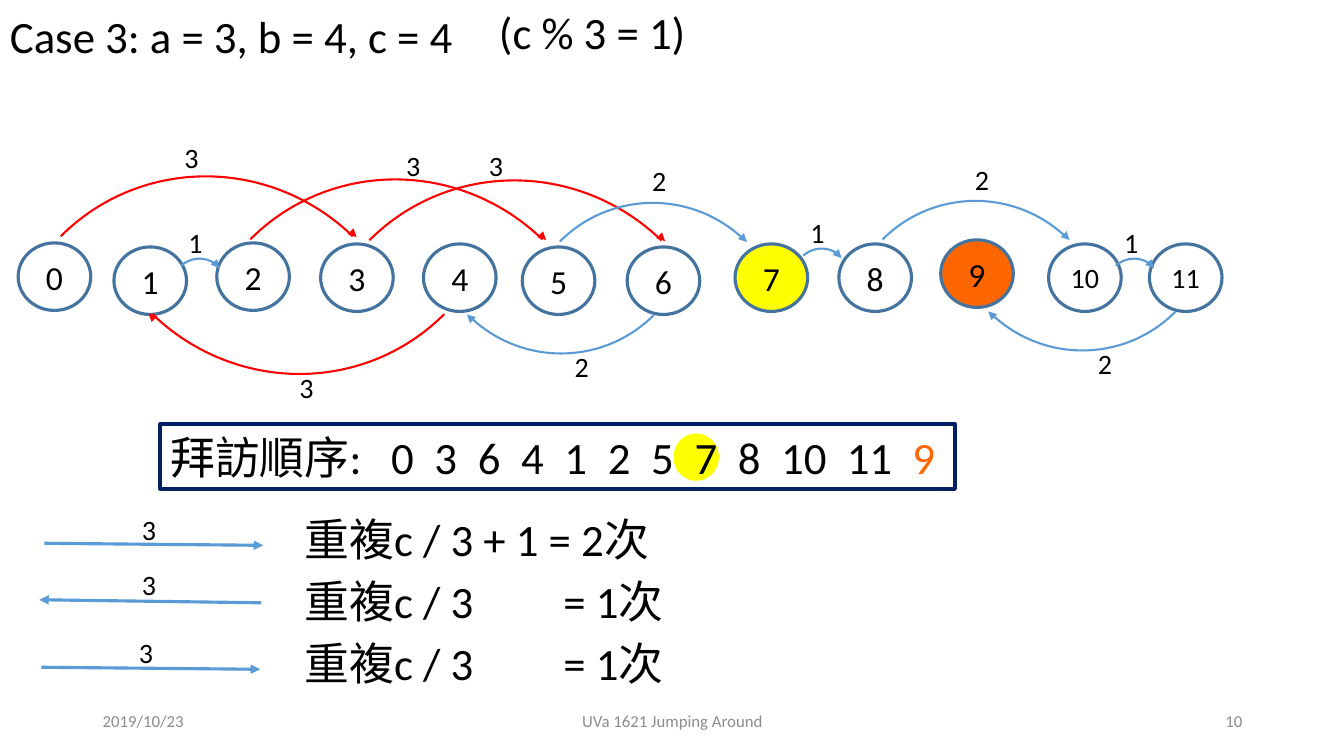
"""Build the slide that traces the jump order for case 3."""
import math

import pptx
import pptx.dml.color
import pptx.enum.shapes
import pptx.enum.text
import pptx.oxml.ns
import pptx.util
from lxml import etree

RGBColor = pptx.dml.color.RGBColor
BLACK = RGBColor(0, 0, 0)
GRAY = RGBColor(0x8C, 0x8C, 0x8C)
YELLOW = RGBColor(0xFF, 0xFF, 0)
ORANGE = RGBColor(0xFF, 0x66, 0)
RED = RGBColor(0xFF, 0, 0)
BLUE = RGBColor(0x5B, 0x9B, 0xD5)
STEEL = RGBColor(0x43, 0x73, 0x9E)
NAVY = RGBColor(0, 0x20, 0x60)

LATIN, CJK = "Calibri", "Noto Sans CJK SC"
COLS, ROWS = 13.33, 7.5
SHAPE = pptx.enum.shapes.MSO_SHAPE
ALIGN = pptx.enum.text.PP_ALIGN
ANCHOR = pptx.enum.text.MSO_ANCHOR
ARC_START, ARC_END = 162, 215.593
LONG, MEDIUM, SHORT = (4.08, 4.16), (2.6, 2.61), (0.54, 0.52)
OVER, UNDER, HOP = 314.8, 134.8, 318.5

NODES = [(0.18, 2.41), (1.13, 2.45), (2.15, 2.41), (3.18, 2.42),
         (4.2, 2.42), (5.18, 2.45), (6.22, 2.45), (7.29, 2.42),
         (8.32, 2.42), (9.33, 2.38), (10.4, 2.42), (11.4, 2.42)]
NODE_FILLS = {7: YELLOW, 9: ORANGE}
JUMPS = [(0.04, 1.73, LONG, OVER, RED), (1.92, 1.76, LONG, OVER, RED),
         (3.1, 1.77, LONG, OVER, RED), (0.89, -0.43, LONG, UNDER, RED),
         (4.26, 0.9, MEDIUM, UNDER, BLUE), (9.43, 0.87, MEDIUM, UNDER, BLUE),
         (8.38, 1.99, MEDIUM, OVER, BLUE), (5.18, 2.01, MEDIUM, OVER, BLUE),
         (1.7, 2.57, SHORT, HOP, BLUE), (7.87, 2.47, SHORT, HOP, BLUE),
         (10.97, 2.57, SHORT, HOP, BLUE)]
LABELS = {"1": [(1.77, 2.19), (7.94, 2.09), (11.05, 2.19)],
          "2": [(10.79, 3.39), (5.6, 3.42), (9.57, 1.56), (6.37, 1.57)],
          "3": [(1.73, 1.34), (3.93, 1.42), (4.75, 1.42), (2.87, 3.63),
                (1.31, 5.04), (1.31, 5.58), (1.28, 6.26)]}
ROUNDS = [(5.03, "c / 3 + 1 = 2", (0.44, 5.39, 2.61, 5.41)),
          (5.64, "c / 3\t= 1", (2.59, 5.98, 0.39, 5.95)),
          (6.26, "c / 3\t= 1", (0.41, 6.62, 2.58, 6.64))]
FOOTER = [(0.92, 3, "2019/10/23", ALIGN.LEFT),
          (4.42, 4.5, "UVa 1621 Jumping Around", ALIGN.CENTER),
          (9.42, 3, "10", ALIGN.RIGHT)]
ORDER = "0 3 6 4 1 2 5 7 8 10 11".split()


def cells(*lengths):
    return [pptx.util.Inches(length) for length in lengths]


def write(shape, *runs, size=32, color=BLACK, align=ALIGN.LEFT,
          anchor=ANCHOR.TOP, tabs=(), last_color=None):
    tf = shape.text_frame
    tf.word_wrap = True
    tf.vertical_anchor = anchor
    p = tf.paragraphs[0]
    p.alignment = align
    if tabs:
        tab_list = etree.SubElement(p._p.get_or_add_pPr(), pptx.oxml.ns.qn("a:tabLst"))
        for stop in tabs:
            etree.SubElement(tab_list, pptx.oxml.ns.qn("a:tab"),
                             pos=str(pptx.util.Inches(stop)), algn="l")
    for text in runs:
        r = p.add_run()
        r.text = text
        r.font.size = pptx.util.Pt(size)
        r.font.color.rgb = color
        r.font.name = CJK if ord(text[0]) > 0x2E80 else LATIN
        etree.SubElement(r._r.get_or_add_rPr(), pptx.oxml.ns.qn("a:ea"), typeface=CJK)
    if last_color is not None:
        r.font.color.rgb = last_color


def add_text(s, x, y, w, h, *runs, **style):
    write(s.shapes.add_textbox(*cells(x, y, w, h)), *runs, **style)


def add_figure(s, kind, x, y, w, h, fill=None, line=None, width=2.25):
    sp = s.shapes.add_shape(kind, *cells(x, y, w, h))
    sp.shadow.inherit = False
    if fill is None:
        sp.fill.background()
    else:
        sp.fill.solid()
        sp.fill.fore_color.rgb = fill
    if line is None:
        sp.line.fill.background()
    else:
        sp.line.color.rgb = line
        sp.line.width = pptx.util.Pt(width)
    return sp


def add_arrow(s, x1, y1, x2, y2, color=BLUE, width=2.25):
    line = s.shapes.add_connector(pptx.enum.shapes.MSO_CONNECTOR.STRAIGHT,
                                  *cells(x1, y1, x2, y2))
    line.line.color.rgb = color
    line.line.width = pptx.util.Pt(width)
    etree.SubElement(line.line._get_or_add_ln(), pptx.oxml.ns.qn("a:tailEnd"),
                     type="triangle")
    etree.SubElement(line._element.spPr, pptx.oxml.ns.qn("a:effectLst"))


def add_jump(s, x, y, size, turn, color):
    w, h = size
    arc = add_figure(s, SHAPE.ARC, x, y, w, h, line=color, width=1.5)
    arc.adjustments[0], arc.adjustments[1] = ARC_START, ARC_END
    arc.rotation = turn
    angle = math.radians(ARC_END * 100 / 60 + turn)
    end_x = x + w / 2 + w / 2 * math.cos(angle)
    end_y = y + h / 2 + h / 2 * math.sin(angle)
    tip = w / 80
    add_arrow(s, end_x, end_y, end_x - tip * math.sin(angle),
              end_y + tip * math.cos(angle), color, 0.5)


def add_node(s, number, x, y):
    node = add_figure(s, SHAPE.OVAL, x, y, 0.72, 0.67,
                      NODE_FILLS.get(number), STEEL)
    write(node, str(number), size=24 if number < 10 else 20,
          align=ALIGN.CENTER, anchor=ANCHOR.MIDDLE)


def add_order(s):
    stops = [2.19 + 0.43 * i for i in range(10)]
    stops += [stops[-1] + 0.65, stops[-1] + 1.3]
    box = add_figure(s, SHAPE.RECTANGLE, 1.59, 4.21, 7.88, 0.64, line=NAVY, width=3)
    write(box, "拜訪順序", ":\t" + "\t".join(ORDER) + "\t", "9",
          tabs=stops, last_color=ORANGE)


def main():
    prs = pptx.Presentation()
    prs.slide_width, prs.slide_height = cells(COLS, ROWS)
    s = prs.slides.add_slide(prs.slide_layouts[6])
    add_figure(s, SHAPE.OVAL, 6.68, 4.3, 0.45, 0.47, YELLOW)
    for x, w, text, align in FOOTER:
        add_text(s, x, 6.95, w, 0.4, text, size=12, color=GRAY,
                 align=align, anchor=ANCHOR.MIDDLE)
    for number, (x, y) in enumerate(NODES):
        add_node(s, number, x, y)
    for jump in JUMPS:
        add_jump(s, *jump)
    add_text(s, 0, 0.04, 4.76, 0.64, "Case 3: a = 3, b = 4, c = 4")
    add_text(s, 4.85, 0, 3.91, 0.64, "(c % 3 = 1)")
    for text, places in LABELS.items():
        for x, y in places:
            add_text(s, x, y, 0.56, 0.44, text, size=20)
    for y, formula, arrow in ROUNDS:
        add_text(s, 2.92, y, 3.97, 0.64, "重複", formula, "次", tabs=[2.57])
        add_arrow(s, *arrow)
    add_order(s)
    prs.save("out.pptx")


if __name__ == "__main__":
    main()
